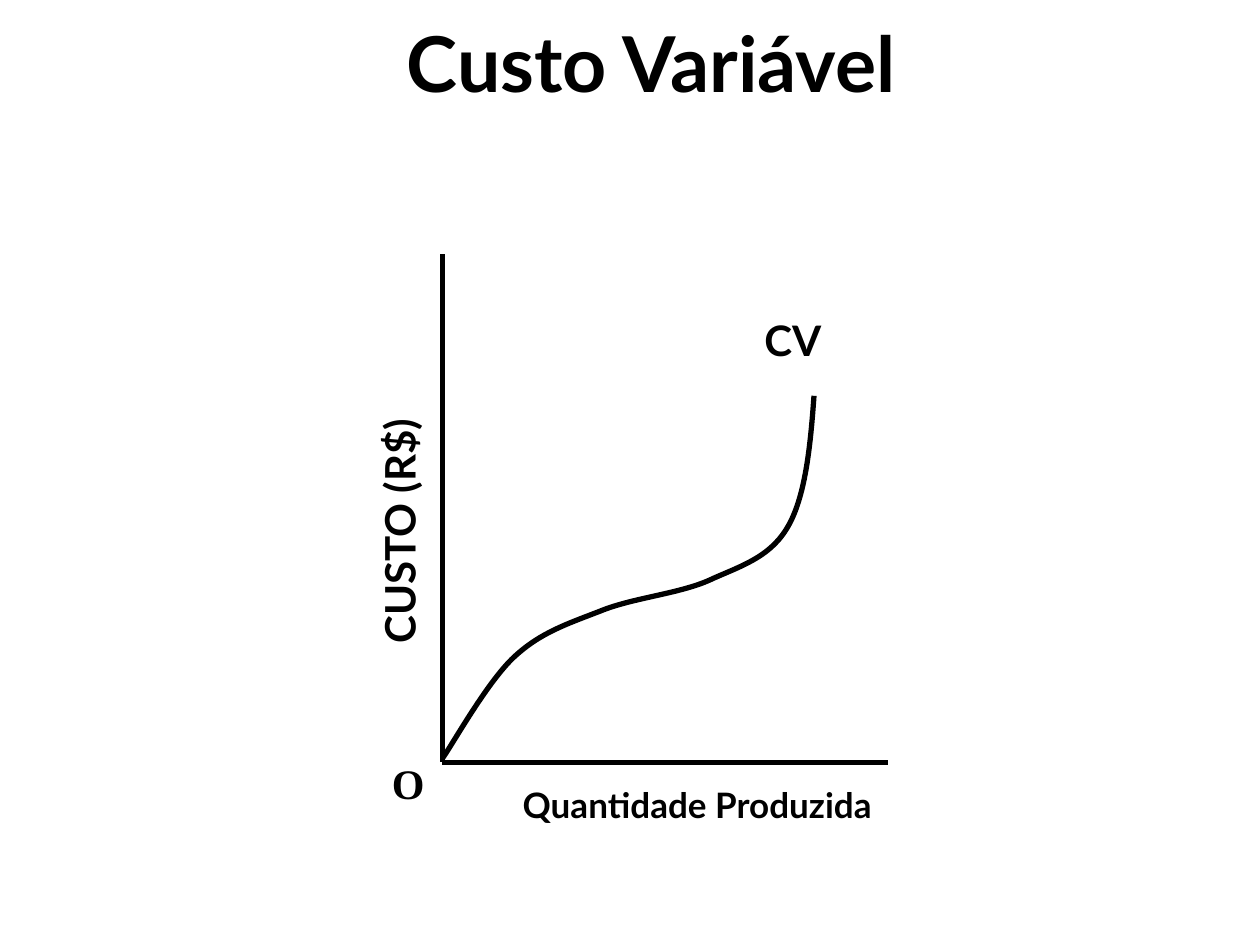
from lxml.etree import SubElement as Sub
from pptx import Presentation
from pptx.dml.color import RGBColor as Rgb
from pptx.enum.shapes import MSO_CONNECTOR as Link
from pptx.enum.text import MSO_ANCHOR as Anchor, PP_ALIGN as Align
from pptx.oxml.ns import qn
from pptx.util import Cm, Pt

INK = {"black": "000000", "white": "FFFFFF"}
CURVE = [
    (0, 0.08), (0.23, 0.41), (0.91, 1.63), (1.45, 2.13),
    (1.98, 2.62), (2.51, 2.79), (3.18, 3.05), (3.86, 3.33),
    (4.83, 3.4), (5.46, 3.71), (6.1, 3.99), (6.65, 4.17),
    (6.99, 4.8), (7.32, 5.41), (7.42, 6.4), (7.49, 7.39),
]


def write(slide, text, box, size=24, font="Lato", align=Align.LEFT, anchor=Anchor.TOP, turn=0):
    """Add a bold text box at box, given in centimetres."""
    shape = slide.shapes.add_textbox(*map(Cm, box))
    shape.rotation = turn
    frame = shape.text_frame
    frame.word_wrap = True
    frame.vertical_anchor = anchor
    para = frame.paragraphs[0]
    para.alignment = align
    run = para.add_run()
    run.text = text
    run.font.name = font
    run.font.size = Pt(size)
    run.font.bold = True
    run.font.color.rgb = Rgb.from_string(INK["black"])


def ink(shape):
    """Give a line or outline its black 3 pt stroke."""
    shape.line.color.rgb = Rgb.from_string(INK["black"])
    shape.line.width = Pt(3)


def axis(slide, start, end):
    """Draw one straight axis between two points."""
    line = slide.shapes.add_connector(Link.STRAIGHT, *map(Cm, start + end))
    ink(line)
    Sub(line._element.spPr, qn("a:effectLst"))


def curve(slide, points):
    """Draw a chain of cubic curves through a start and triples of points."""
    dots = [(Cm(x), Cm(y)) for x, y in points]
    maker = slide.shapes.build_freeform(*dots[0])
    maker.add_line_segments(dots[1:], close=False)
    shape = maker.convert_to_shape()
    shape.shadow.inherit = False
    shape.fill.background()
    ink(shape)
    track = next(shape._element.iter(qn("a:path")))
    steps = track.findall(qn("a:lnTo"))
    for i in range(0, len(steps), 3):
        bend = Sub(track, qn("a:cubicBezTo"))
        for step in steps[i:i + 3]:
            bend.append(step[0])
            track.remove(step)


def graph(slide, left, top, width, height):
    """Draw the cost graph with its axes, curve and labels."""
    base = top + height
    axis(slide, (left, top), (left, base))
    axis(slide, (left, base), (left + width, base))
    write(slide, "O", (left - 1.27, base - 0.23, 1.5, 1.27), font="Times New Roman")
    write(slide, "CUSTO (R$)", (left - 3.74, top + 4.6, 5.72, 1.27), turn=270)
    curve(slide, [(left + x, base - y) for x, y in CURVE])
    write(slide, "CV", (left + 6.24, top + 1.09, 2.51, 1.27))
    write(slide, "Quantidade Produzida", (left + 0.22, base + 0.3, 9.83, 1.12),
          size=20, align=Align.CENTER)


def main():
    """Build and save the slide."""
    deck = Presentation()
    deck.slide_width, deck.slide_height = Cm(25.4), Cm(19.05)
    slide = deck.slides.add_slide(deck.slide_layouts[6])
    fill = slide.background.fill
    fill.solid()
    fill.fore_color.rgb = Rgb.from_string(INK["white"])
    graph(slide, 8.92, 5.13, 8.99, 10.24)
    write(slide, "Custo Variável", (1.7, 0.51, 22.86, 1.8), size=44,
          align=Align.CENTER, anchor=Anchor.BOTTOM)
    deck.save("out.pptx")


if __name__ == "__main__":
    main()
